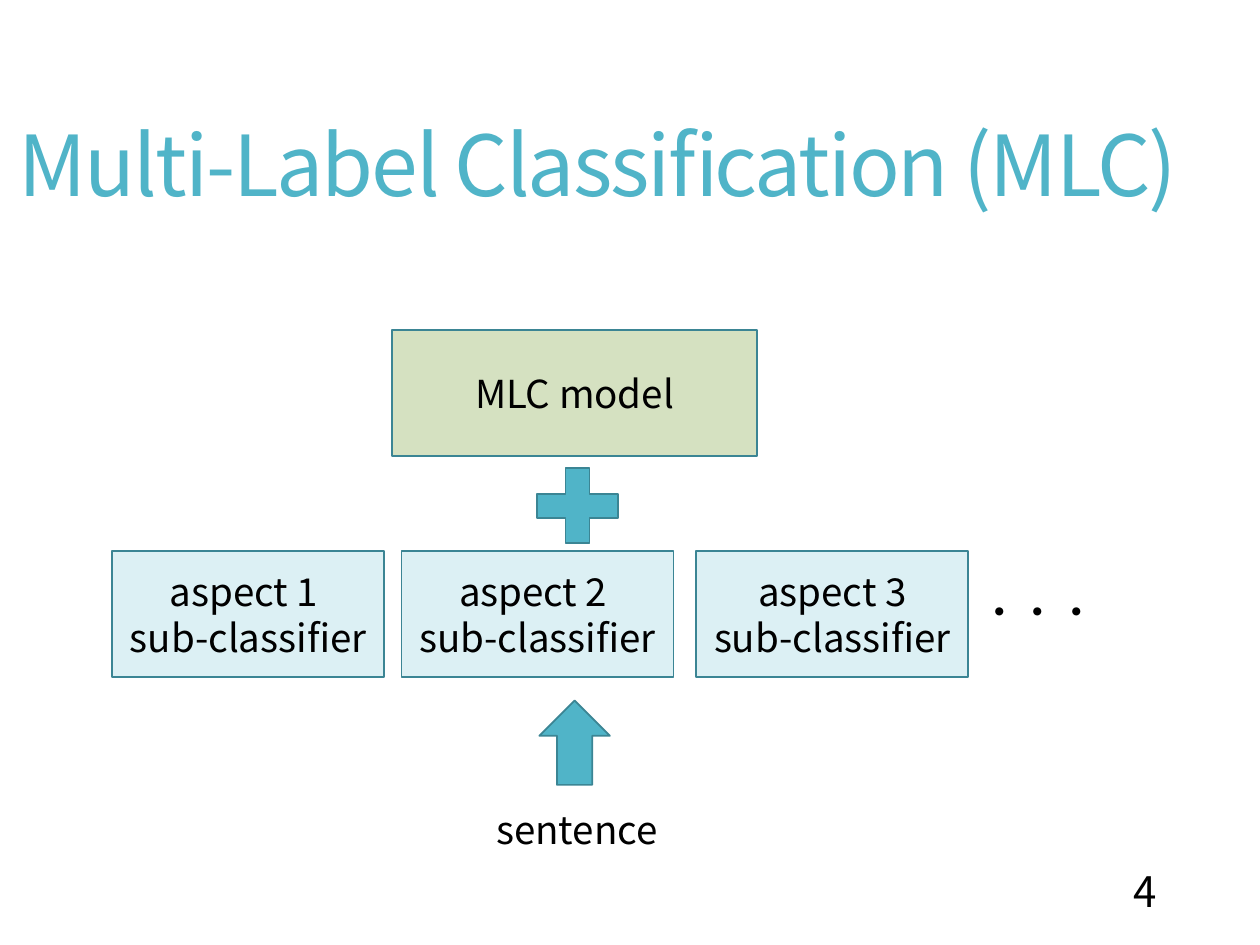
"""Build the multi-label classification slide."""
from lxml.etree import SubElement
from pptx import Presentation
from pptx.dml.color import RGBColor
from pptx.enum.shapes import MSO_SHAPE
from pptx.enum.text import MSO_ANCHOR, MSO_AUTO_SIZE, PP_ALIGN
from pptx.oxml.ns import qn
from pptx.util import Pt

FONT = "Noto Sans CJK JP"
COLORS = {
    "text": "000000",
    "accent": "50B4C8",
    "outline": "3B8594",
    "model": "D5E1C1",
    "classifier": "DCF0F4",
}


def color(name):
    return RGBColor.from_string(COLORS[name])


def write_text(sp, lines, size=22, ink="text", spacing=None, tracking=None,
               align=PP_ALIGN.LEFT, **frame):
    tf = sp.text_frame
    for name, value in {"word_wrap": True, **frame}.items():
        setattr(tf, name, value)
    for i, line in enumerate(lines):
        p = tf.add_paragraph() if i else tf.paragraphs[0]
        p.alignment = align
        p.line_spacing = spacing
        r = p.add_run()
        r.text = line
        for name, value in {"name": FONT, "size": Pt(size)}.items():
            setattr(r.font, name, value)
        r.font.color.rgb = color(ink)
        rPr = r._r.get_or_add_rPr()
        SubElement(rPr, qn("a:ea")).set("typeface", FONT)
        if tracking:
            rPr.set("spc", str(tracking))


def add_label(slide, box, text, **fmt):
    sp = slide.shapes.add_textbox(*map(Pt, box))
    write_text(sp, [text], **fmt)


def add_figure(slide, kind, box, fill, lines=(), rotation=0):
    sp = slide.shapes.add_shape(kind, *map(Pt, box))
    sp.shadow.inherit = False
    sp.rotation = rotation
    sp.fill.solid()
    sp.fill.fore_color.rgb = color(fill)
    sp.line.color.rgb = color("outline")
    sp.line.width = Pt(1)
    write_text(sp, lines, align=PP_ALIGN.CENTER,
               vertical_anchor=MSO_ANCHOR.MIDDLE)


def main():
    prs = Presentation()
    prs.slide_width, prs.slide_height = Pt(720), Pt(540)
    slide = prs.slides.add_slide(prs.slide_layouts[6])
    middle = {"vertical_anchor": MSO_ANCHOR.MIDDLE}
    grow = {"auto_size": MSO_AUTO_SIZE.SHAPE_TO_FIT_TEXT}

    add_figure(slide, MSO_SHAPE.RECTANGLE, (223.9, 188.6, 208.8, 72),
               "model", ["MLC model"])
    classifiers = [(64.1, "aspect 1 "), (229.4, "aspect 2 "),
                   (397.9, "aspect 3")]
    for left, aspect in classifiers:
        add_figure(slide, MSO_SHAPE.RECTANGLE, (left, 314.8, 155.5, 72),
                   "classifier", [aspect, "sub-classifier"])
    add_label(slide, (553, 332.6, 87.8, 34.6), "・・・", **grow)
    add_figure(slide, MSO_SHAPE.MATH_PLUS, (298.8, 259.9, 62.6, 58.3),
               "accent")
    add_label(slide, (3.6, 38.9, 735.1, 115.2),
              "Multi-Label Classification (MLC)", size=48, ink="accent",
              spacing=0.9, tracking=-120, **middle)
    add_label(slide, (276.5, 457.2, 111.6, 33.8), "sentence", **grow)
    add_figure(slide, MSO_SHAPE.DOWN_ARROW, (308.2, 400.3, 40.3, 48.2),
               "accent", rotation=180)
    add_label(slide, (614.9, 481.7, 53.3, 54), "4", size=24,
              align=PP_ALIGN.RIGHT, **middle)
    prs.save("out.pptx")


main()
